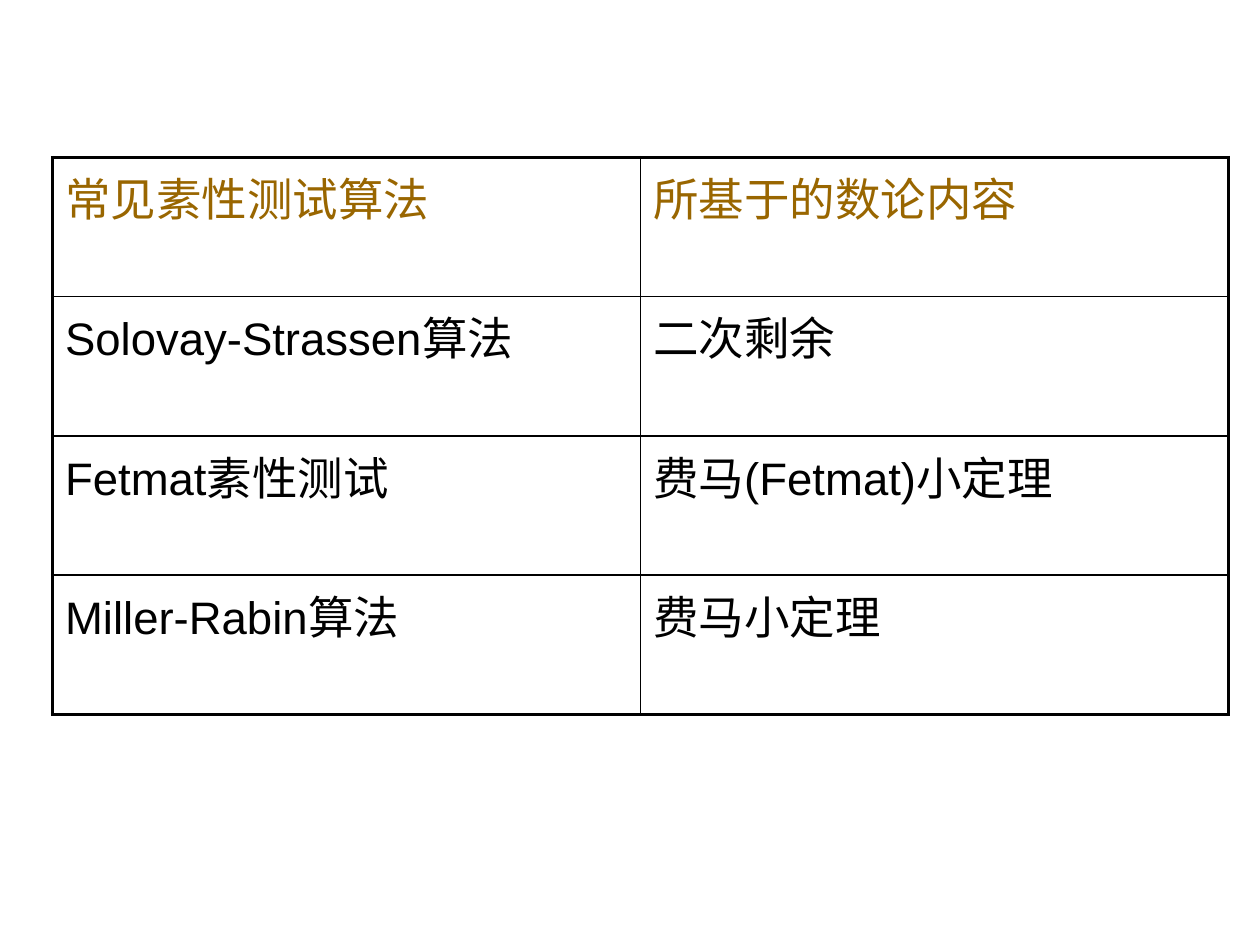
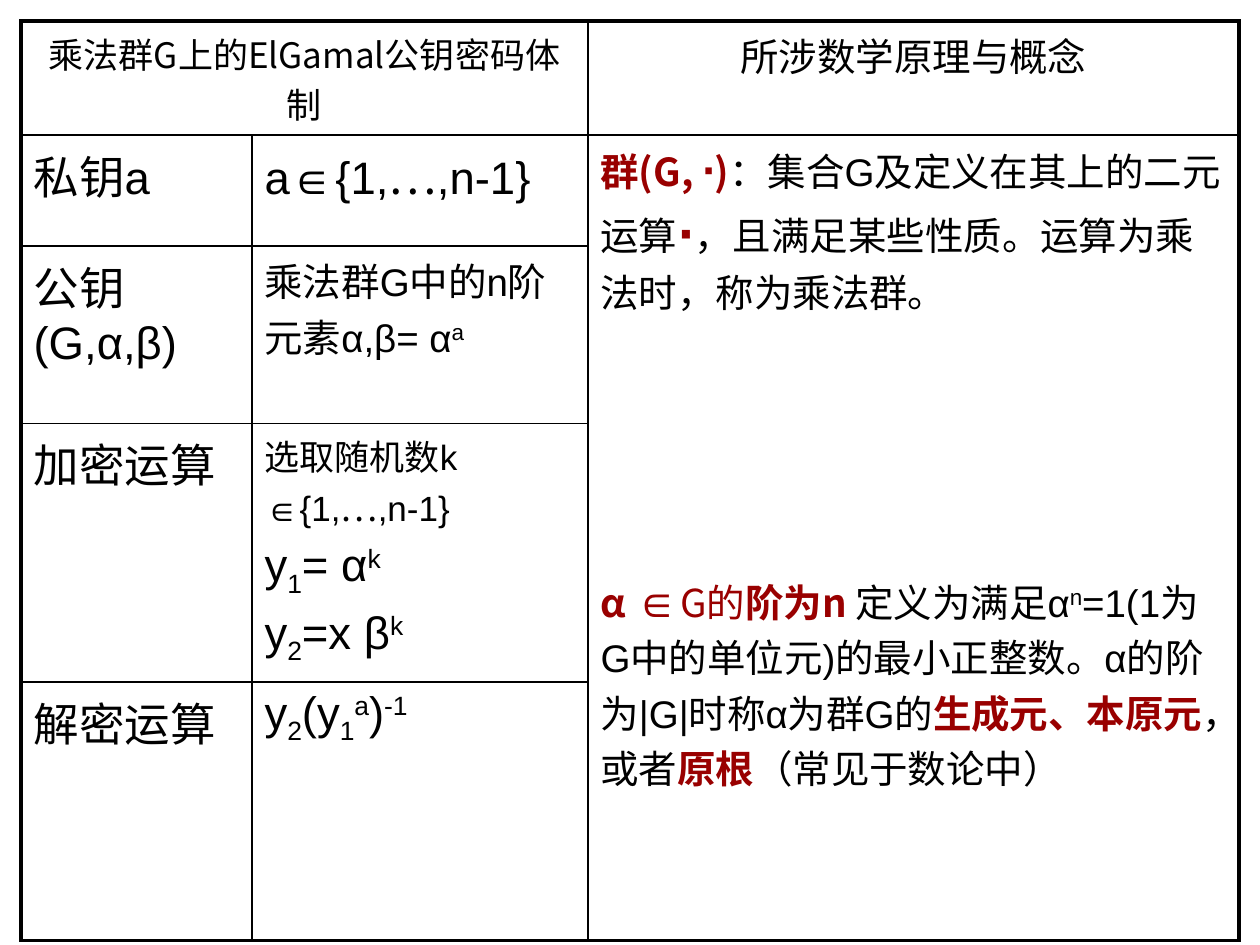
from lxml import etree
from pptx import Presentation
from pptx.dml.color import RGBColor
from pptx.enum.text import PP_ALIGN
from pptx.oxml.ns import qn
from pptx.util import Inches, Pt

CENTER = PP_ALIGN.CENTER
WIDE, HIGH = 10, 7.5
COLORS = {"ink": "000000", "gold": "996600", "red": "990000"}
LATIN, HAN = "Arial", "Noto Sans CJK SC"
PLAIN = "{2D5ABB26-0587-4C30-8999-92F81FD0307C}"
THICK, THIN = 2.25, 1

# Run styles; a run without one follows its paragraph
SUP = {"shift": 30}
SUB = {"shift": -25}
CJK = {"face": HAN}
RED = {"color": "red", "bold": True}
TERM = {**RED, **CJK}
SOFT = {"color": "red"}


def style(font, face=None, size=None, color=None, bold=None, shift=None):
    if size:
        font.size = Pt(size)
    if color:
        font.color.rgb = RGBColor.from_string(COLORS[color])
    if bold is not None:
        font.bold = bold
    if face:
        font.name = face
    if shift:
        font._element.set("baseline", str(shift * 1000))


def para(runs, size=26, gap=0, align=None, **look):
    """Describe a paragraph; runs is a string or a list of strings and (text, style)."""
    return {"runs": [runs] if isinstance(runs, str) else runs,
            "gap": gap, "align": align,
            "look": {"face": LATIN, "size": size, "color": "ink", **look}}


def write(frame, paras):
    for i, item in enumerate(paras):
        par = frame.add_paragraph() if i else frame.paragraphs[0]
        par.space_before = Pt(item["gap"])
        if item["align"]:
            par.alignment = item["align"]
        style(par.font, **item["look"])
        for part in item["runs"]:
            text, look = (part, {}) if isinstance(part, str) else part
            run = par.add_run()
            run.text = text
            style(run.font, **look)


def rule(cell, row, col, rows, cols):
    """Draw thick lines on the table's rim and thin lines between cells."""
    down = row + (cell.span_height if cell.is_merge_origin else 1)
    right = col + (cell.span_width if cell.is_merge_origin else 1)
    rims = {"lnL": col == 0, "lnR": right == cols,
            "lnT": row == 0, "lnB": down == rows}
    props = cell._tc.get_or_add_tcPr()
    shown = [(tag, rim) for tag, rim in rims.items() if rim or not cell.is_spanned]
    for i, (tag, rim) in enumerate(shown):
        line = etree.Element(qn("a:" + tag), w=str(Pt(THICK if rim else THIN)))
        fill = etree.SubElement(line, qn("a:solidFill"))
        etree.SubElement(fill, qn("a:srgbClr"), val=COLORS["ink"])
        props.insert(i, line)


def grid(slide, box, cols, rows, cells, spans=()):
    """Fill box with a table; cols and rows are shares, cells maps (row, col) to paragraphs."""
    left, top, width, height = box
    table = slide.shapes.add_table(len(rows), len(cols),
                                   *(Inches(v) for v in box)).table
    table._tbl.tblPr.find(qn("a:tableStyleId")).text = PLAIN
    table.first_row = table.horz_banding = False
    for col, share in zip(table.columns, cols):
        col.width = Inches(width * share / sum(cols))
    for row, share in zip(table.rows, rows):
        row.height = Inches(height * share / sum(rows))
    for start, end in spans:
        table.cell(*start).merge(table.cell(*end))
    for r in range(len(rows)):
        for c in range(len(cols)):
            cell = table.cell(r, c)
            cell.fill.background()
            rule(cell, r, c, len(rows), len(cols))
            if (r, c) in cells:
                write(cell.text_frame, cells[r, c])


def tests(slide):
    """Primality tests and the number theory behind each."""
    lines = [("常见素性测试算法", "所基于的数论内容"),
             ("Solovay-Strassen算法", "二次剩余"),
             ("Fetmat素性测试", "费马(Fetmat)小定理"),
             ("Miller-Rabin算法", "费马小定理")]
    cells = {(r, c): [para(text, color="ink" if r else "gold")]
             for r, line in enumerate(lines) for c, text in enumerate(line)}
    box = (WIDE / 24, HIGH / 6, WIDE * 14 / 15, 4.42)
    grid(slide, box, (1, 1), (1,) * len(lines), cells)


def cipher(slide):
    """ElGamal steps on the left, the concepts they need on the right."""
    dot = ("∙", {**RED, "size": 26})
    group = para([("群(G, ", TERM), dot, (")", TERM),
                  "：集合G及定义在其上的二元运算", dot,
                  "，且满足某些性质。运算为乘法时，称为乘法群。"], 22)
    order = para([("α ", TERM), ("∈", {**SOFT, "size": 26}), ("G的", {**SOFT, **CJK}),
                  ("阶为n ", TERM), "定义为满足α", ("n", SUP),
                  "=1(1为G中的单位元)的最小正整数。α的阶为|G|时称α为群G的",
                  ("生成元、本原元", RED), "，或者", ("原根", RED),
                  "（常见于数论中）"], 22, gap=145)
    dots = ("…", CJK)
    cells = {
        (0, 0): [para("乘法群G上的ElGamal公钥密码体制", 20, align=CENTER, face=HAN)],
        (0, 2): [para("所涉数学原理与概念", 22, align=CENTER)],
        (1, 0): [para("私钥a")],
        (1, 1): [para(["a∈{1,", dots, ",n-1}"])],
        (1, 2): [group, order],
        (2, 0): [para("公钥(G,α,β)")],
        (2, 1): [para(["乘法群G中的n阶元素α,β= α", ("a", SUP)], 22)],
        (3, 0): [para("加密运算")],
        (3, 1): [para(["选取随机数k ∈{1,", dots, ",n-1}"], 20),
                 para(["y", ("1", SUB), "= α", ("k", SUP)], gap=5.2),
                 para(["y", ("2", SUB), "=x β", ("k", SUP)], gap=5.2)],
        (4, 0): [para("解密运算")],
        (4, 1): [para(["y", ("2", SUB), "(y", ("1", SUB), ("a", SUP), ")",
                       ("-1", SUP)])],
    }
    edge = WIDE / 60
    box = (edge, edge, WIDE - 2 * edge, 7.16)
    grid(slide, box, (11, 16, 31), (0.77, 0.88, 1.41, 2.05, 2.05), cells,
         spans=[((0, 0), (0, 1)), ((1, 2), (4, 2))])


def main():
    deck = Presentation()
    deck.slide_width, deck.slide_height = Inches(WIDE), Inches(HIGH)
    blank = deck.slide_layouts[6]
    for build in (tests, cipher):
        build(deck.slides.add_slide(blank))
    deck.save("out.pptx")


if __name__ == "__main__":
    main()
